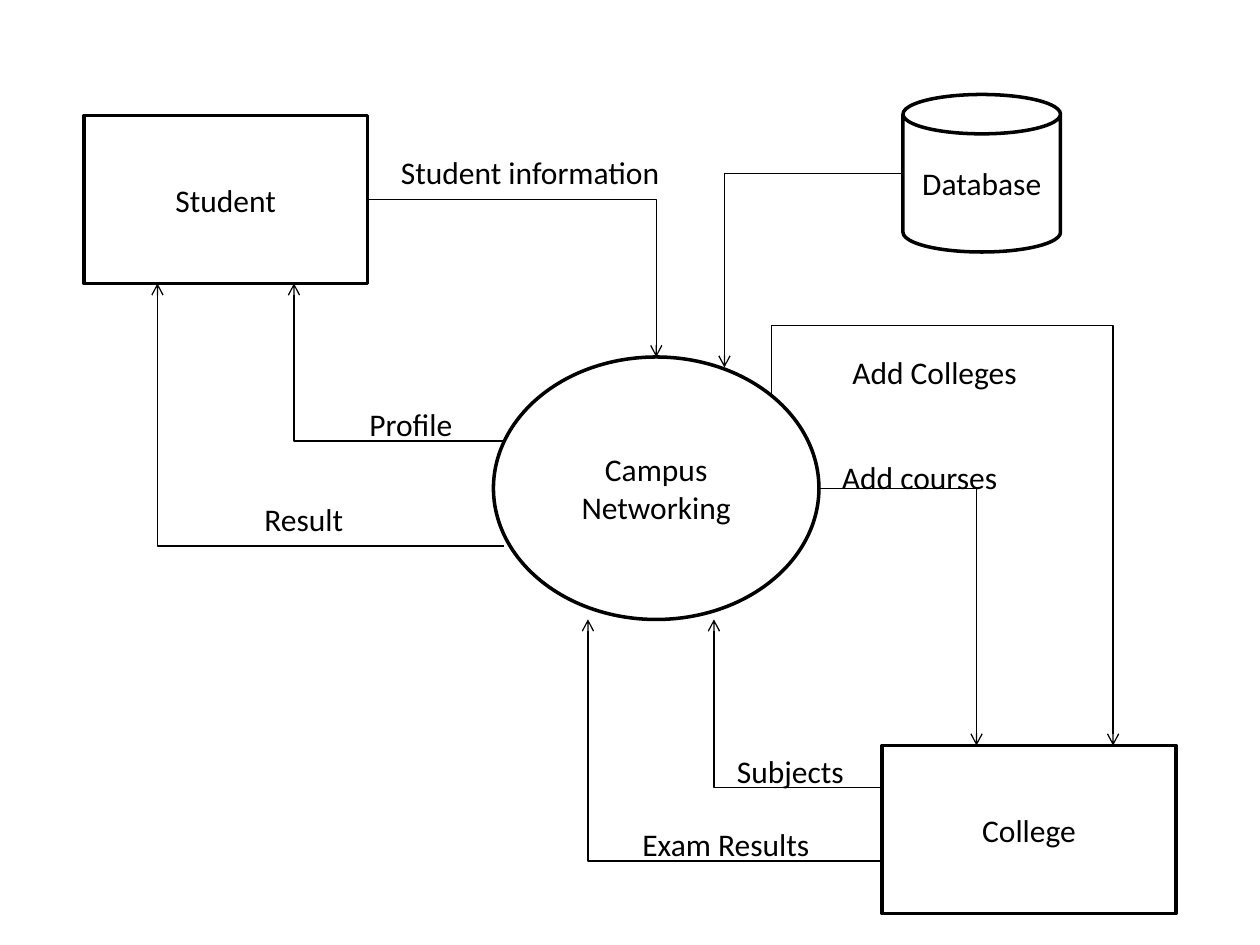
from lxml.etree import SubElement
from pptx import Presentation
from pptx.dml.color import RGBColor
from pptx.enum.shapes import MSO_CONNECTOR, MSO_SHAPE
from pptx.enum.text import MSO_ANCHOR, MSO_AUTO_SIZE, PP_ALIGN
from pptx.oxml.ns import qn
from pptx.util import Inches, Pt

COLUMNS, ROWS = 120, 90
BLACK, WHITE = "000000", "FFFFFF"

NODES = [
    (MSO_SHAPE.OVAL, "Campus Networking", 47, 34, 31, 25),
    (MSO_SHAPE.RECTANGLE, "Student", 8, 11, 27, 16),
    (MSO_SHAPE.RECTANGLE, "College", 84, 71, 28, 16),
    (MSO_SHAPE.CAN, "Database", 86, 9, 15, 15),
]
FLOWS = [
    ((35, 19), (62.5, 34)),
    ((78, 46.5), (93, 71)),
    ((84, 75), (68, 59)),
    ((84, 82), (56, 59)),
    ((48, 42), (28, 27)),
    ((48, 52), (15, 27)),
    ((86, 16.5), (69, 35)),
]
LABELS = [
    ("Student information", 37, 14, 27.4),
    ("Add Colleges", 80, 33, 18.2),
    ("Add courses", 79, 43, 17.4),
    ("Subjects", 69, 71, 12.7),
    ("Exam Results", 60, 78, 18.5),
    ("Profile", 34, 38, 10.4),
    ("Result", 24, 47, 10),
]


def grid(cells):
    """Turn a number of grid cells into a slide length."""
    return Inches(10 * cells / COLUMNS)


def colour(value):
    """Turn a hex string into a colour."""
    return RGBColor.from_string(value)


def write(frame, text):
    """Put one paragraph of diagram text into a frame."""
    frame.text = text
    font = frame.paragraphs[0].runs[0].font
    font.name, font.size = "Calibri", Pt(18)
    font.color.rgb = colour(BLACK)


def add_node(page, kind, text, *place):
    """Add an outlined shape with centred text."""
    node = page.shapes.add_shape(kind, *map(grid, place))
    node.shadow.inherit = False
    node.fill.solid()
    node.fill.fore_color.rgb = colour(WHITE)
    node.line.color.rgb = colour(BLACK)
    node.line.width = Pt(2)
    write(node.text_frame, text)
    node.text_frame.vertical_anchor = MSO_ANCHOR.MIDDLE
    node.text_frame.paragraphs[0].alignment = PP_ALIGN.CENTER


def add_label(page, text, left, top, width):
    """Add an unwrapped flow label."""
    box = page.shapes.add_textbox(*map(grid, (left, top, width, 4.8)))
    box.text_frame.word_wrap = False
    box.text_frame.auto_size = MSO_AUTO_SIZE.SHAPE_TO_FIT_TEXT
    write(box.text_frame, text)


def add_elbow(page, start, end):
    """Add a thin bent connector with an open arrowhead at its end."""
    elbow = page.shapes.add_connector(MSO_CONNECTOR.ELBOW, *map(grid, start + end))
    elbow.line.color.rgb = colour(BLACK)
    elbow.line.width = Pt(0.75)
    SubElement(elbow.line._get_or_add_ln(), qn("a:tailEnd"), type="arrow")
    SubElement(elbow._element.spPr, qn("a:effectLst"))
    return elbow


def add_corner(page, start, end):
    """Add a connector that runs sideways, then turns once."""
    elbow = add_elbow(page, start, end)
    elbow._element.spPr.find(qn("a:prstGeom")).set("prst", "bentConnector2")


def add_overpass(page, start, end, rise):
    """Add a connector that rises from its start, crosses and drops to its end."""
    middle_x, middle_y = (start[0] + end[0]) / 2, (start[1] + end[1]) / 2
    half_run, half_drop = (end[0] - start[0]) / 2, (end[1] - start[1]) / 2
    elbow = add_elbow(
        page,
        (middle_x + half_drop, middle_y - half_run),
        (middle_x - half_drop, middle_y + half_run),
    )
    properties = elbow._element.spPr
    properties.find(qn("a:xfrm")).set("rot", str(270 * 60000))
    guides = properties.find(qn("a:prstGeom")).get_or_add_avLst()
    share = round(-100000 * rise / (end[1] - start[1]))
    SubElement(guides, qn("a:gd"), name="adj1", fmla=f"val {share}")


def main():
    """Build the data flow diagram."""
    deck = Presentation()
    deck.slide_width, deck.slide_height = grid(COLUMNS), grid(ROWS)
    page = deck.slides.add_slide(deck.slide_layouts[6])
    for node in NODES:
        add_node(page, *node)
    for flow in FLOWS:
        add_corner(page, *flow)
    add_overpass(page, (73.5, 37.66), (106, 71), 6.67)
    for label in LABELS:
        add_label(page, *label)
    deck.save("out.pptx")


if __name__ == "__main__":
    main()
